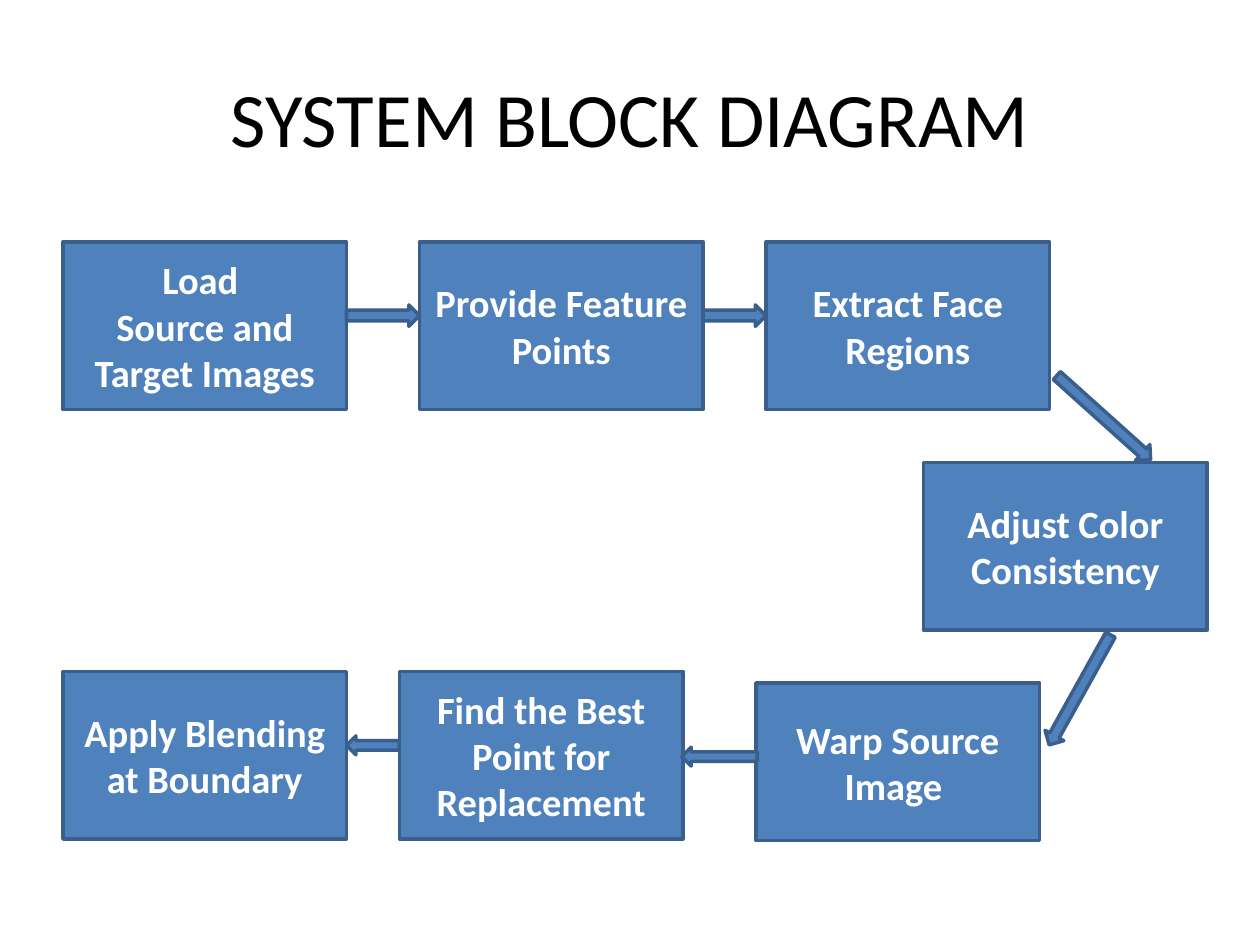
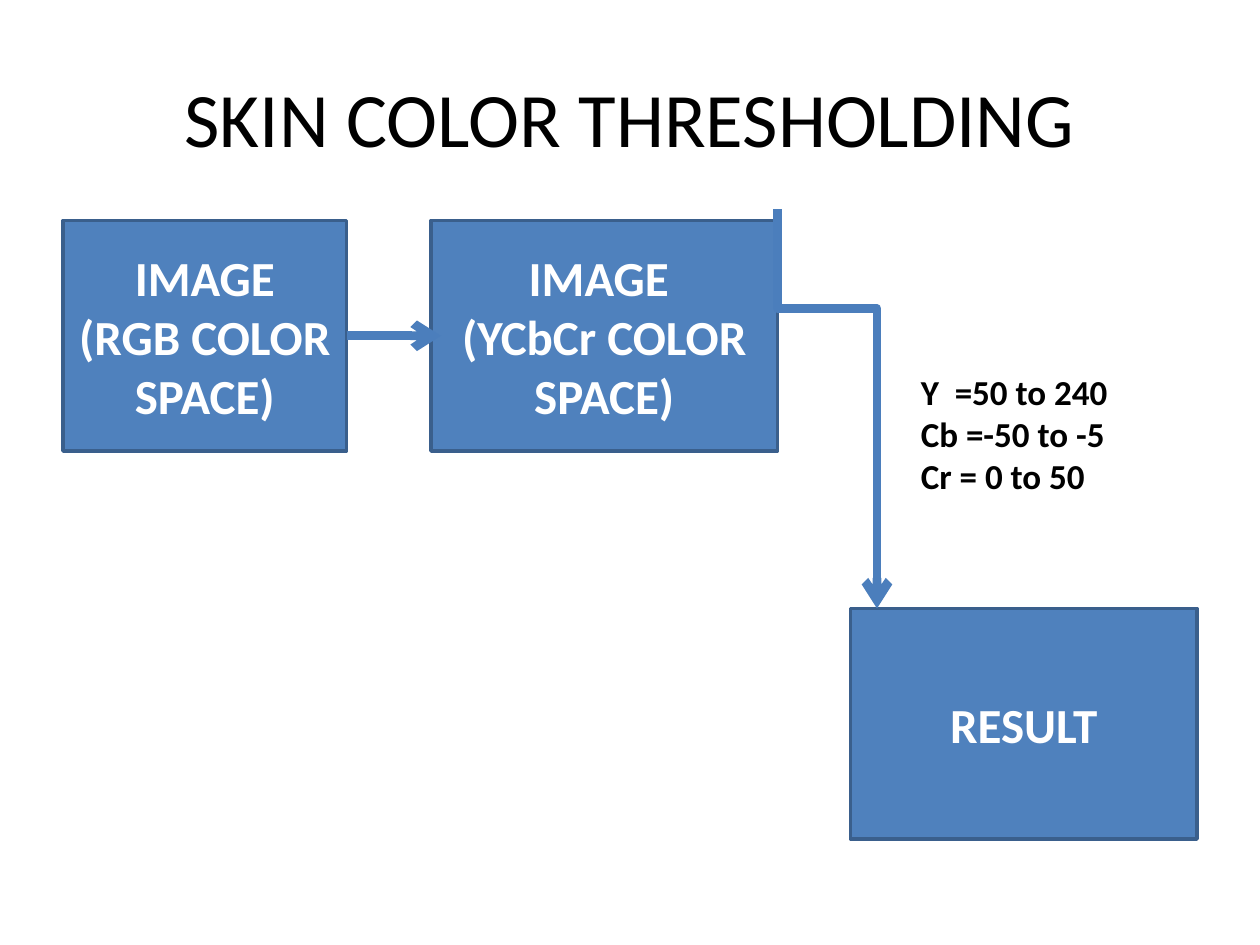
from lxml.etree import SubElement
from pptx import Presentation
from pptx.dml.color import RGBColor
from pptx.enum.shapes import MSO_CONNECTOR as Link, MSO_SHAPE as Kind
from pptx.enum.text import MSO_ANCHOR as Anchor, PP_ALIGN as Align
from pptx.oxml.ns import qn
from pptx.util import Pt

PX = 9144  # 100 px to the inch
FONT = "Calibri"
BLUE, EDGE, WIRE = "4F81BD", "3A5F8C", "4B7EBC"
WHITE, BLACK = "FFFFFF", "000000"


def px(*vals):
    return [v * PX for v in vals]


def paint(part, tone):
    part.rgb = RGBColor.from_string(tone)


def write(frame, lines, size, tone, bold=True, align=Align.CENTER):
    frame.word_wrap = True
    form = {"name": FONT, "size": Pt(size), "bold": bold}
    for i, line in enumerate(lines):
        para = frame.add_paragraph() if i else frame.paragraphs[0]
        para.alignment = align
        run = para.add_run()
        run.text = line
        for key, val in form.items():
            setattr(run.font, key, val)
        paint(run.font.color, tone)


def start(deck, title):
    """Add a slide with its title in the shared style."""
    slide = deck.slides.add_slide(deck.slide_layouts[5])
    head = slide.shapes.title
    head.left, head.top, head.width, head.height = px(50, 30, 900, 125)
    head.text_frame.vertical_anchor = Anchor.MIDDLE
    write(head.text_frame, [title], 44, BLACK, bold=False)
    return slide


def solid(slide, kind, x, y, w, h):
    """Add a blue shape with a darker edge."""
    shape = slide.shapes.add_shape(kind, *px(x, y, w, h))
    shape.shadow.inherit = False
    shape.fill.solid()
    paint(shape.fill.fore_color, BLUE)
    shape.line.width = Pt(2)
    paint(shape.line.color, EDGE)
    return shape


def block(slide, lines, size, *box):
    shape = solid(slide, Kind.RECTANGLE, *box)
    shape.text_frame.vertical_anchor = Anchor.MIDDLE
    write(shape.text_frame, lines, size, WHITE)
    return shape


def wire(slide, kind, *ends):
    """Add a thick connector with an open arrowhead."""
    link = slide.shapes.add_connector(kind, *px(*ends))
    link.line.width = Pt(5)
    paint(link.line.color, WIRE)
    SubElement(link.line._ln, qn("a:tailEnd"), type="arrow")
    SubElement(link._element.spPr, qn("a:effectLst"))
    return link


def flow(slide, x, y):
    """Place the seven steps and the arrows between them."""
    wide, high, low = 225, 133, 341
    steps = [
        (["Load ", "Source and Target Images"], 0, 0, high),
        (["Provide Feature Points"], 283, 0, high),
        (["Extract Face Regions"], 558, 0, high),
        (["Adjust Color Consistency"], 683, 175, high),
        (["Warp Source Image "], 550, 350, 125),
        (["Find the Best Point for Replacement"], 267, low, high),
        (["Apply Blending at Boundary"], 0, low, high),
    ]
    for lines, dx, dy, h in steps:
        block(slide, lines, 22, x + dx, y + dy, wide, h)

    arrows = [
        (225, 50, 58, 17, 0),
        (508, 50, 50, 17, 0),
        (776, 131, 100, 17, 41.9),
        (757, 347, 100, 17, 119.1),
        (491, 401, 60, 15, 180),
        (225, 392, 42, 15, 180),
    ]
    for dx, dy, w, h, turn in arrows:
        arrow = solid(slide, Kind.RIGHT_ARROW, x + dx, y + dy, w, h)
        arrow.rotation = turn


def elbow(slide, x, y, w, h, bend):
    """Draw a mirrored elbow, turned to run downwards."""
    link = wire(slide, Link.ELBOW, x + w, y, x, y + h)
    form = link._element.spPr
    form.find(qn("a:xfrm")).set("rot", str(270 * 60000))
    guides = form.find(qn("a:prstGeom")).find(qn("a:avLst"))
    SubElement(guides, qn("a:gd"), name="adj1", fmla=f"val {bend}")


def steps(slide, x, y):
    """Place the colour spaces, the result and the limits."""
    high = 183
    rgb = block(slide, ["IMAGE", "(RGB COLOR SPACE)"], 28, x, y, 225, high)
    block(slide, ["IMAGE ", "(YCbCr COLOR SPACE)"], 28, x + 292, y, 275, high)
    block(slide, ["RESULT"], 28, x + 625, y + 308, 275, high)

    elbow(slide, x + 448, y + 110, 317, 79, 24900)
    link = wire(slide, Link.STRAIGHT, x + 225, y + 92, x + 300, y + 92)
    link.begin_connect(rgb, 3)
    link.end_y = link.begin_y

    note = slide.shapes.add_textbox(*px(x + 671, y + 114, 196, 111))
    limits = ["Y  =50 to 240", "Cb =-50 to -5", "Cr = 0 to 50"]
    write(note.text_frame, limits, 20, BLACK, align=Align.LEFT)


def main():
    deck = Presentation()
    deck.slide_width, deck.slide_height = px(1000, 750)
    flow(start(deck, "SYSTEM BLOCK DIAGRAM"), 50, 192)
    steps(start(deck, "SKIN COLOR THRESHOLDING"), 50, 175)
    deck.save("out.pptx")


if __name__ == "__main__":
    main()
